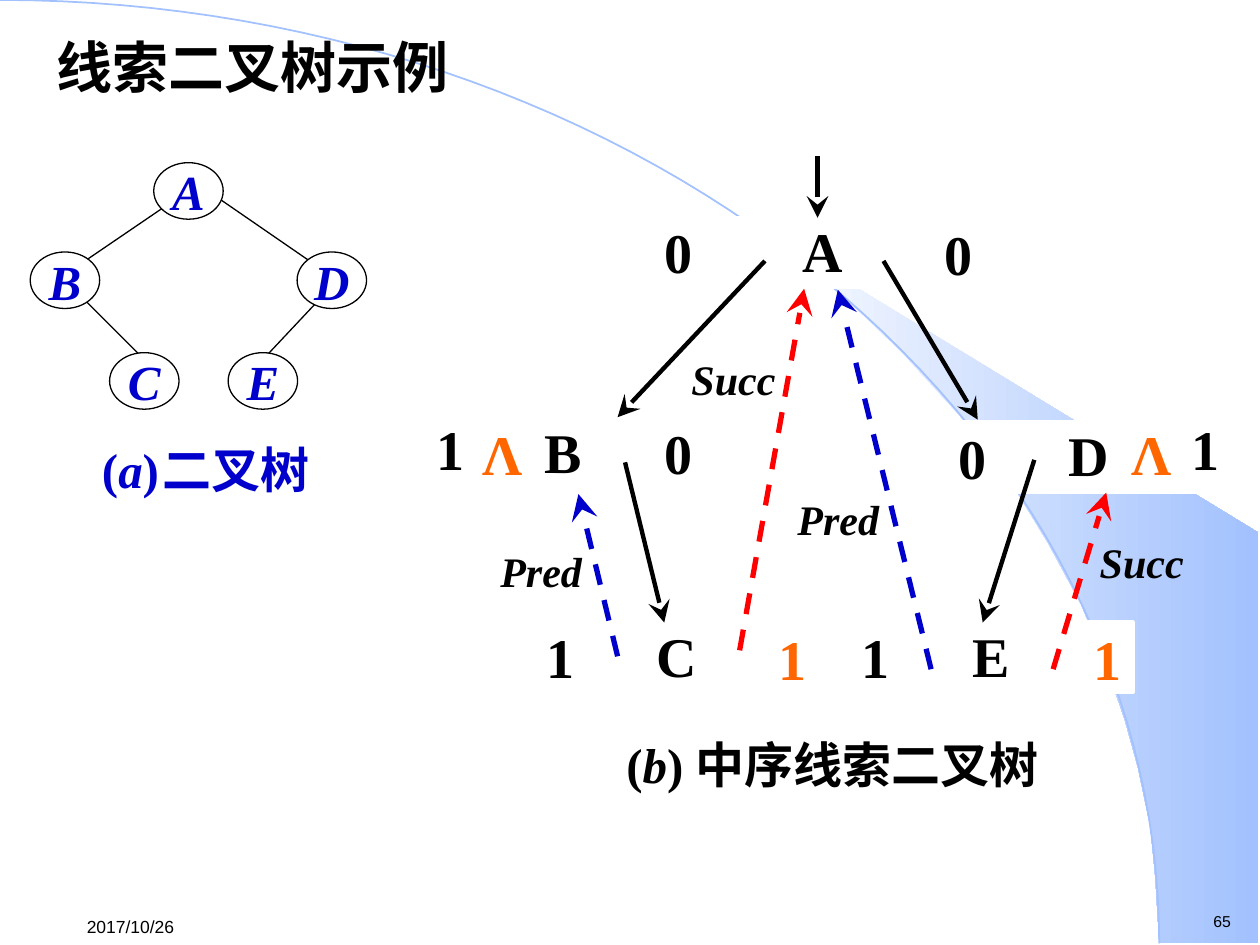
import math
from dataclasses import dataclass

from lxml import etree
from pptx import Presentation
from pptx import util as u
from pptx.dml.color import RGBColor
from pptx.enum import dml, shapes, text
from pptx.oxml.ns import qn

Cm = u.Cm
LEFT, CENTER = text.PP_ALIGN.LEFT, text.PP_ALIGN.CENTER


@dataclass(frozen=True)
class Theme:
    black: str = "000000"
    white: str = "FFFFFF"
    blue: str = "0000CC"
    red: str = "FF0000"
    orange: str = "FF6600"
    swoosh: str = "A2C1FE"
    serif: str = "Times New Roman"
    sans: str = "Arial"
    large: int = 32
    caption: int = 28
    label: int = 24
    date: int = 10
    number: int = 9
    gap: int = 9
    border: float = 2.5
    thread: float = 3
    edge: float = 0.75


T = Theme()


def rgb(value):
    return RGBColor.from_string(value)


def write(s, content, size=T.large, color=T.black, font=T.serif, bold=True,
          italic=False, align=CENTER, spacing=None, inset=(0, 0),
          anchor=text.MSO_ANCHOR.TOP, wrap=True):
    """Fill a shape with one paragraph: a string, or (string, format) runs."""
    tf = s.text_frame
    tf.word_wrap = wrap
    tf.vertical_anchor = anchor
    tf.margin_left = tf.margin_right = Cm(inset[0])
    tf.margin_top = tf.margin_bottom = Cm(inset[1])
    p = tf.paragraphs[0]
    p.alignment = align
    if spacing:
        p.line_spacing = spacing
    for words, fmt in [(content, {})] if isinstance(content, str) else content:
        r = p.add_run()
        r.text = words
        r.font.name = font
        r.font.size = u.Pt(fmt.get("size", size))
        r.font.bold = bold
        r.font.italic = fmt.get("italic", italic)
        r.font.color.rgb = rgb(color)


def add_text(sl, content, x, y, w, h, **fmt):
    write(sl.shapes.add_textbox(Cm(x), Cm(y), Cm(w), Cm(h)), content, **fmt)


def add_box(sl, kind, x, y, w, h, line, width):
    s = sl.shapes.add_shape(kind, Cm(x), Cm(y), Cm(w), Cm(h))
    s.shadow.inherit = False
    s.fill.solid()
    s.fill.fore_color.rgb = rgb(T.white)
    s.line.color.rgb = rgb(line)
    s.line.width = u.Pt(width)
    return s


def add_line(sl, x1, y1, x2, y2, color=T.black, width=T.border,
             dashed=False, arrow=True):
    c = sl.shapes.add_connector(shapes.MSO_CONNECTOR.STRAIGHT,
                                Cm(x1), Cm(y1), Cm(x2), Cm(y2))
    c.line.color.rgb = rgb(color)
    c.line.width = u.Pt(width)
    if dashed:
        c.line.dash_style = dml.MSO_LINE.DASH
    sp_pr = c._element.spPr
    if arrow:
        etree.SubElement(sp_pr.find(qn("a:ln")), qn("a:tailEnd"),
                         type="stealth", w="lg", len="lg")
    etree.SubElement(sp_pr, qn("a:effectLst"))


def add_outline(sl, points, close):
    first, *rest = [(Cm(x), Cm(y)) for x, y in points]
    builder = sl.shapes.build_freeform(*first)
    builder.add_line_segments(rest, close=close)
    s = builder.convert_to_shape()
    s.shadow.inherit = False
    return s


def add_background(sl):
    # Shaded swoosh at the right
    band = add_outline(sl, [
        (23.37, 19), (25.37, 19.02), (25.37, 10.74), (14.96, 4.39),
        (15.85, 5.05), (16.59, 5.64), (17.4, 6.35), (18.19, 7.11),
        (19.35, 8.38), (20.4, 9.75), (21.13, 10.95), (21.79, 12.17),
        (22.3, 13.41), (22.68, 14.53), (22.94, 15.47), (23.19, 16.66),
        (23.29, 17.68)], True)
    band.fill.gradient()
    band.fill.gradient_angle = 0
    for stop, color in zip(band.fill.gradient_stops, (T.white, T.swoosh)):
        stop.color.rgb = rgb(color)
    band.line.fill.background()
    # Quarter ellipse from the top left corner
    steps = 60
    angles = [math.pi / 2 * i / steps for i in range(steps + 1)]
    arc = add_outline(sl, [(23.37 * math.sin(a), 19.02 * (1 - math.cos(a)))
                           for a in angles], False)
    arc.fill.background()
    arc.line.color.rgb = rgb(T.swoosh)
    arc.line.width = u.Pt(1)


def add_record(sl, letter, x, y, w, letter_x, spacing=0.9):
    add_box(sl, shapes.MSO_SHAPE.RECTANGLE, x, y, w, 1.4, T.white, T.border)
    add_text(sl, letter, x + letter_x, y, 1.47, 1.47, spacing=spacing,
             inset=(0.25, 0.13))


def add_threaded_tree(sl):
    add_text(sl, [("(", {}), ("b", {"italic": True}), (") 中序线索二叉树", {})],
             10.01, 14.99, 13.54, 1.02, size=T.caption, spacing=0.85)
    # Node records
    fixed = u.Pt(T.large)
    add_record(sl, "A", 12.98, 4.39, 6.99, 2.87)
    add_record(sl, "B", 8.48, 8.51, 5.72, 2.13, spacing=fixed)
    for letter, x, y in (("C", 10.77, 12.55), ("D", 19.08, 8.51),
                         ("E", 17.12, 12.55)):
        add_record(sl, letter, x, y, 5.72, 2.13)
    # Tag digits
    for digit, x, y, spacing in (("0", 13.18, 4.39, None), ("0", 18.82, 4.42, None),
                                 ("0", 13.18, 8.43, None), ("1", 8.59, 8.59, fixed),
                                 ("1", 23.8, 8.59, fixed)):
        add_text(sl, digit, x, y, 1, 1.35, spacing=spacing)
    for digit, x, y, color in (("1", 10.77, 12.42, T.black), ("1", 15.44, 12.45, T.orange),
                               ("0", 19.08, 8.41, T.black), ("1", 17.12, 12.42, T.black),
                               ("1", 21.79, 12.45, T.orange)):
        add_text(sl, digit, x, y, 1.27, 1.6, color=color, align=LEFT,
                 inset=(0.25, 0.13))
    # Child pointers
    for ends in ((15.42, 5.26, 12.45, 8.41), (17.81, 5.26, 19.71, 8.46),
                 (12.6, 9.32, 13.39, 12.55), (20.85, 9.27, 19.81, 12.55),
                 (16.48, 3.15, 16.48, 4.39)):
        add_line(sl, *ends)
    # Threads to predecessor (blue) and successor (red)
    for color, ends in ((T.blue, (12.45, 13.23, 11.66, 9.96)),
                        (T.red, (14.91, 13.11, 16.21, 5.82)),
                        (T.blue, (18.77, 13.49, 16.89, 5.84)),
                        (T.red, (21.23, 13.49, 22.3, 9.93))):
        add_line(sl, *ends, color=color, width=T.thread, dashed=True)
    # Empty threads
    for x in (9.68, 22.78):
        add_text(sl, "Λ", x, 8.66, 0.89, 1.14, color=T.orange, spacing=0.85)
    # Thread labels
    for label, x, y, spacing in (("Succ", 13.94, 7.32, 0.8), ("Pred", 16, 10.08, u.Pt(25)),
                                 ("Pred", 10.01, 11.13, u.Pt(25)),
                                 ("Succ", 22.17, 11.02, 0.8)):
        add_text(sl, label, x, y, 1.8, 0.9, size=T.label, italic=True,
                 align=LEFT if label == "Succ" else CENTER, spacing=spacing)


def add_plain_tree(sl):
    for ends in ((3.99, 3.71, 1.42, 5.46), (3.99, 3.71, 6.53, 5.46),
                 (1.65, 5.99, 2.9, 7.24), (6.5, 5.97, 5.26, 7.29)):
        add_line(sl, *ends, width=T.edge, arrow=False)
    for letter, x, y in (("A", 3.1, 3.28), ("B", 0.61, 5.08), ("D", 5.99, 5.08),
                         ("C", 2.21, 7.11), ("E", 4.6, 7.11)):
        node = add_box(sl, shapes.MSO_SHAPE.OVAL, x, y, 1.4, 1.14, T.black, T.edge)
        write(node, letter, size=T.caption, color=T.blue, italic=True, spacing=0.85)
    add_text(sl, [("(", {}), ("a", {"italic": True}), (")", {}),
                  (" ", {"size": T.gap}), ("二叉树", {})],
             1.8, 9.09, 4.7, 0.71, size=T.caption, color=T.blue, spacing=0.8)


def main():
    prs = Presentation()
    prs.slide_width, prs.slide_height = Cm(25.4), Cm(19.05)
    sl = prs.slides.add_slide(prs.slide_layouts[6])
    add_background(sl)
    # Footer and title
    footer = dict(font=T.sans, bold=False, align=LEFT, inset=(0.25, 0.13), wrap=False)
    add_text(sl, "65", 24.21, 18.26, 0.89, 0.64, size=T.number, **footer)
    add_text(sl, "2017/10/26", 1.5, 18.29, 2.59, 0.76, size=T.date,
             anchor=text.MSO_ANCHOR.MIDDLE, **footer)
    add_text(sl, "线索二叉树示例", 0.89, 0.71, 15.09, 1.45, align=LEFT,
             spacing=0.88, inset=(0.25, 0.13))
    add_threaded_tree(sl)
    add_plain_tree(sl)
    prs.save("out.pptx")


if __name__ == "__main__":
    main()
